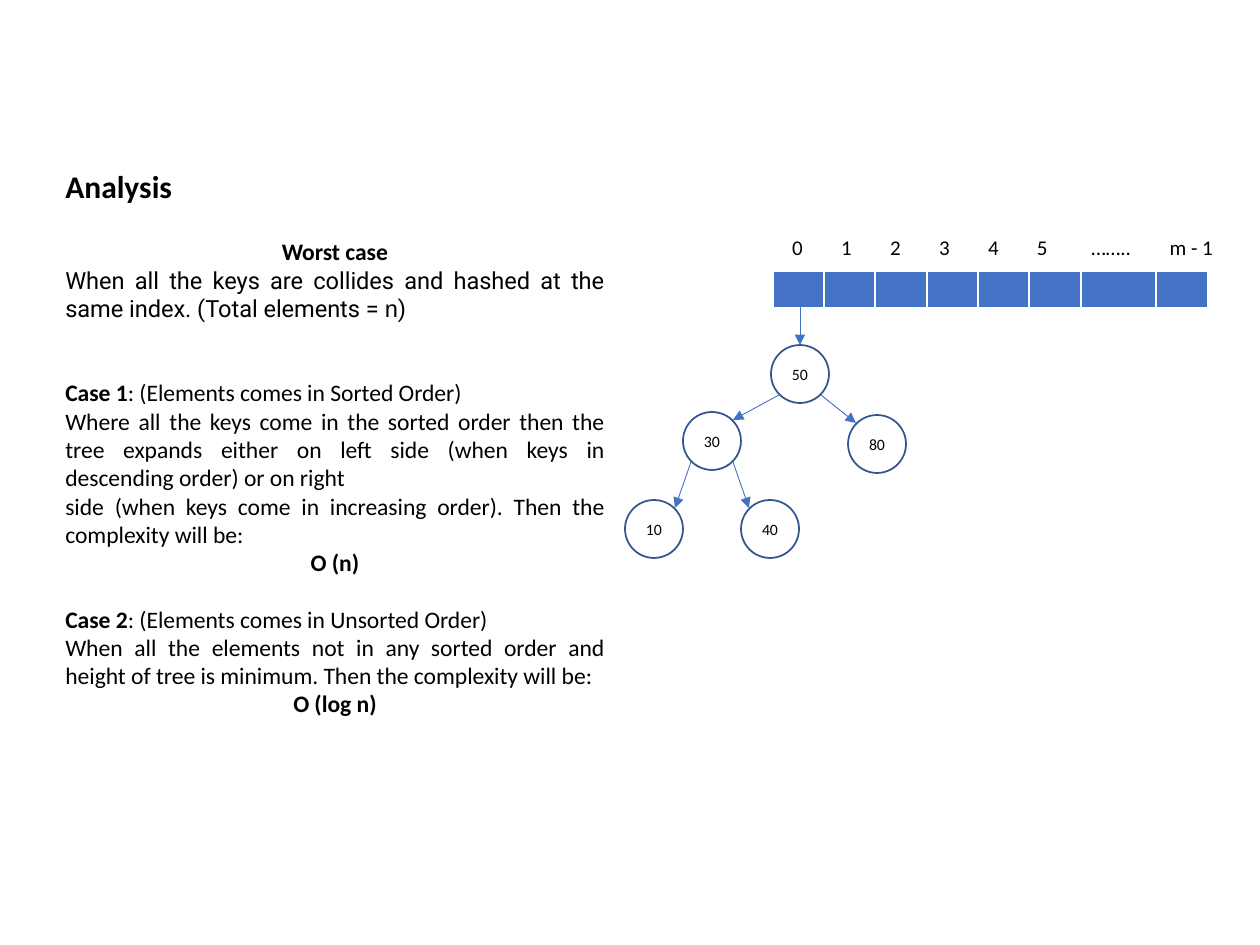
from lxml import etree
from pptx import Presentation
from pptx import util as u
from pptx.dml.color import RGBColor
from pptx.enum import shapes, text
from pptx.oxml import ns

PX_PER_INCH = 126
COLORS = {"ink": "000000", "paper": "FFFFFF", "bar": "4472C4", "ring": "325491"}
ALIGN = text.PP_ALIGN


def px(length):
    return u.Emu(round(length * 914400 / PX_PER_INCH))


def rgb(name):
    return RGBColor.from_string(COLORS[name])


def child(parent, tag, **attributes):
    return etree.SubElement(parent, ns.qn(tag), **attributes)


class Sketch:
    """Holds the text style and the page being drawn."""

    style = {"name": "Calibri", "size": u.Pt(13.5), "bold": False}

    def __init__(self, page):
        self.page = page

    def add_span(self, para, words, **changes):
        span = para.add_run()
        span.text = words
        for key, value in {**self.style, **changes}.items():
            setattr(span.font, key, value)
        span.font.color.rgb = rgb("ink")

    def text_box(self, left, top, width, height, paragraphs):
        box = self.page.shapes.add_textbox(*map(px, (left, top, width, height)))
        frame = box.text_frame
        frame.word_wrap = True
        for i, (layout, spans) in enumerate(paragraphs):
            para = frame.add_paragraph() if i else frame.paragraphs[0]
            for key, value in layout.items():
                setattr(para, key, value)
            for words, changes in spans:
                self.add_span(para, words, **changes)

    def border(self, cell):
        props = cell._tc.get_or_add_tcPr()
        for side, points in (("L", 1), ("R", 1), ("T", 1), ("B", 3)):
            line = child(props, f"a:ln{side}", w=str(u.Pt(points)))
            child(child(line, "a:solidFill"), "a:srgbClr", val=COLORS["paper"])

    def row(self, left, top, height, widths, labels=None):
        """One table row: labels on no fill, or empty filled slots."""
        table = self.page.shapes.add_table(
            1, len(widths), *map(px, (left, top, sum(widths), height))).table
        table.first_row = table.horz_banding = False
        table.rows[0].height = px(height)
        side, end = (9, 5) if labels else (0, 0)
        margins = {"margin_left": side, "margin_right": side,
                   "margin_top": end, "margin_bottom": end}
        for i, width in enumerate(widths):
            table.columns[i].width = px(width)
            cell = table.cell(0, i)
            for key, value in margins.items():
                setattr(cell, key, px(value))
            self.border(cell)
            if labels:
                cell.fill.background()
                para = cell.text_frame.paragraphs[0]
                para.alignment = ALIGN.CENTER
                self.add_span(para, labels[i], size=u.Pt(12))
            else:
                cell.fill.solid()
                cell.fill.fore_color.rgb = rgb("bar")

    def node(self, left, top, size, label):
        circle = self.page.shapes.add_shape(
            shapes.MSO_SHAPE.OVAL, *map(px, (left, top, size, size)))
        circle.shadow.inherit = False
        circle.fill.solid()
        circle.fill.fore_color.rgb = rgb("paper")
        circle.line.color.rgb = rgb("ring")
        circle.line.width = u.Pt(1)
        frame = circle.text_frame
        layout = {"margin_left": 0, "margin_right": 0, "margin_top": 0,
                  "margin_bottom": 0, "vertical_anchor": text.MSO_ANCHOR.MIDDLE}
        for key, value in layout.items():
            setattr(frame, key, value)
        frame.paragraphs[0].alignment = ALIGN.CENTER
        self.add_span(frame.paragraphs[0], label, size=u.Pt(9))
        return circle

    def arrow(self, x1, y1, x2, y2):
        line = self.page.shapes.add_connector(
            shapes.MSO_CONNECTOR.STRAIGHT, *map(px, (x1, y1, x2, y2)))
        line.line.color.rgb = rgb("bar")
        line.line.width = u.Pt(0.5)
        child(line.line._get_or_add_ln(), "a:tailEnd", type="triangle")
        child(line._element.spPr, "a:effectLst")
        return line


BOLD = {"bold": True}
CENTER = {"alignment": ALIGN.CENTER}
JUSTIFY = {"alignment": ALIGN.JUSTIFY}
ROBOTO = {"name": "Roboto"}

ANALYSIS = [
    (CENTER, [("Worst case", BOLD)]),
    (JUSTIFY, [("When all the keys are collides and hashed at the same index. "
                "(Total elements = ", ROBOTO), ("n", {"name": "Arial"}), (")", ROBOTO)]),
    ({**JUSTIFY, "space_before": u.Pt(32)},
     [("Case 1", BOLD), (": (Elements comes in Sorted Order)", {})]),
    (JUSTIFY, [("Where all the keys come in the sorted order then the tree expands "
                "either on left side (when keys in descending order) or on right", {})]),
    (JUSTIFY, [("side (when keys come in increasing order). "
                "Then the complexity will be:", {})]),
    (CENTER, [("O (n)", BOLD)]),
    ({**JUSTIFY, "space_before": u.Pt(16)},
     [("Case 2", BOLD), (": (Elements comes in Unsorted Order)", {})]),
    (JUSTIFY, [("When all the elements not in any sorted order and height of tree "
                "is minimum. Then the complexity will be:", {})]),
    (CENTER, [("O (log n)", BOLD)]),
]

NODE_SIZE = 58
NODES = {"50": (771, 345), "30": (683, 412), "40": (741, 500),
         "80": (848, 415), "10": (625, 500)}
EDGES = [("50", "30"), ("50", "80"), ("30", "10"), ("30", "40")]


def main():
    deck = Presentation()
    deck.slide_width, deck.slide_height = u.Inches(10), u.Inches(7.5)
    sketch = Sketch(deck.slides.add_slide(deck.slide_layouts[6]))

    # Heading and analysis text
    sketch.text_box(53, 161, 493, 50,
                    [({}, [("Analysis", {"size": u.Pt(18), "bold": True})])])
    sketch.text_box(53, 231, 564, 528, ANALYSIS)

    # Hash table slots and their indexes
    sketch.row(773, 271, 38, [51, 51, 52] * 2 + [75, 52])
    sketch.row(773, 231, 38, [49] * 6 + [89, 71],
               ["0", "1", "2", "3", "4", "5", "……..", "m - 1"])

    # Search tree
    circles = {label: sketch.node(*corner, NODE_SIZE, label)
               for label, corner in NODES.items()}

    # Edges leave and meet the circles on their diagonals
    radius = NODE_SIZE // 2
    reach = round(radius * 0.71)
    for parent, kid in EDGES:
        (x1, y1), (x2, y2) = NODES[parent], NODES[kid]
        step = reach if x2 > x1 else -reach
        sketch.arrow(x1 + radius + step, y1 + radius + reach,
                     x2 + radius - step, y2 + radius - reach)

    # Slot 0 points to the root
    x, y = NODES["50"]
    root_arrow = sketch.arrow(x + radius, 286, x + radius, y)
    root_arrow.end_connect(circles["50"], 0)

    deck.save("out.pptx")


if __name__ == "__main__":
    main()
